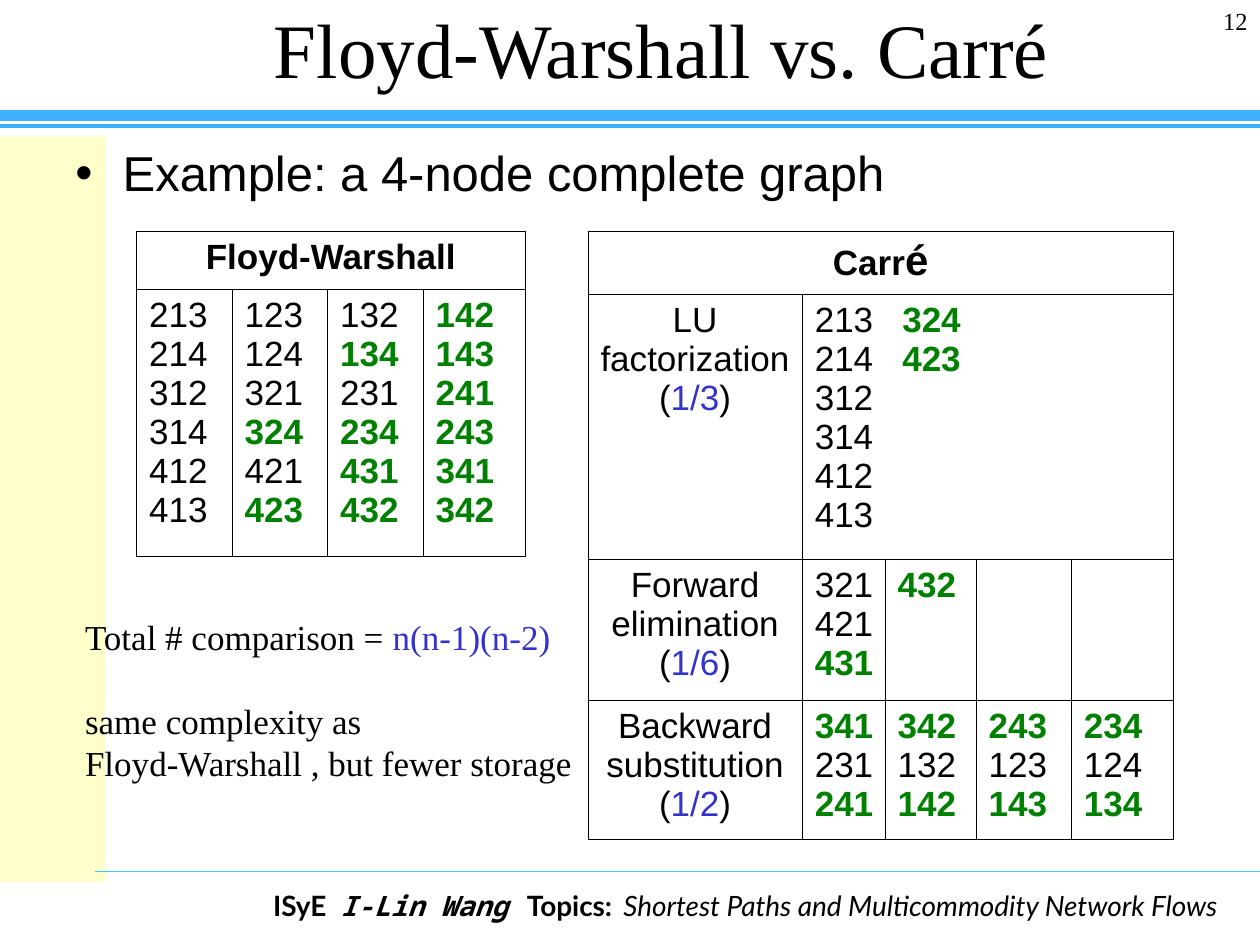
from lxml import etree
from pptx import Presentation
from pptx.dml.color import RGBColor
from pptx.enum.shapes import MSO_CONNECTOR, MSO_SHAPE
from pptx.enum.text import MSO_ANCHOR, MSO_AUTO_SIZE, PP_ALIGN
from pptx.oxml.ns import qn
from pptx.util import Pt

LEFT, CENTER, RIGHT = PP_ALIGN.LEFT, PP_ALIGN.CENTER, PP_ALIGN.RIGHT
MIDDLE = MSO_ANCHOR.MIDDLE
RECTANGLE = MSO_SHAPE.RECTANGLE
STRAIGHT = MSO_CONNECTOR.STRAIGHT
NO_AUTOFIT = MSO_AUTO_SIZE.NONE

COLORS = {
    "text": "000000",
    "new": "008000",
    "formula": "3333CC",
    "rule": "3DB0FF",
    "footer_rule": "33CCFF",
    "side_band": "FFFF99",
}
SERIF, SANS, FOOTER, MONO = "Times New Roman", "Arial", "Lato", "Noto Sans Mono"
NEW = {"color": "new", "bold": True}
FORMULA = {"color": "formula"}


def color(name):
    return RGBColor.from_string(COLORS[name])


def add_run(paragraph, text, font, size, color_name="text", bold=False,
            italic=False, spacing=0):
    run = paragraph.add_run()
    run.text = text
    run.font.name = font
    run.font.size = Pt(size)
    run.font.bold = bold
    run.font.italic = italic
    run.font.color.rgb = color(color_name)
    if spacing:
        run.font._element.set("spc", str(int(spacing * 100)))


def write_text(frame, paragraphs, font=SANS, size=20, align=LEFT, bold=False,
               bullet=None, tab=None, space_before=0, line_spacing=None):
    """Fill a frame; a paragraph is a list of strings or (string, format) pairs."""
    for index, runs in enumerate(paragraphs):
        paragraph = frame.paragraphs[0] if index == 0 else frame.add_paragraph()
        paragraph.alignment = align
        properties = paragraph._p.get_or_add_pPr()
        if bullet:
            properties.set("marL", str(Pt(27)))
            properties.set("indent", str(-Pt(27)))
            etree.SubElement(properties, qn("a:buFont"), typeface=font)
            etree.SubElement(properties, qn("a:buChar"), char=bullet)
        if tab:
            tabs = etree.SubElement(properties, qn("a:tabLst"))
            etree.SubElement(tabs, qn("a:tab"), pos=str(Pt(tab)), algn="l")
        if index and space_before:
            paragraph.space_before = Pt(space_before)
        if line_spacing:
            paragraph.line_spacing = Pt(line_spacing)
        for run in runs:
            text, style = run if isinstance(run, tuple) else (run, {})
            style = {"font": font, "size": size, "bold": bold, **style}
            style["color_name"] = style.pop("color", "text")
            for number, line in enumerate(text.split("\n")):
                if number:
                    paragraph.add_line_break()
                add_run(paragraph, line, **style)


def add_text(slide, box, paragraphs, wrap=True, **text_format):
    frame = slide.shapes.add_textbox(*map(Pt, box)).text_frame
    frame.word_wrap = wrap
    write_text(frame, paragraphs, **text_format)


def add_rule(slide, left, right, y, color_name, width):
    rule = slide.shapes.add_connector(STRAIGHT, Pt(left), Pt(y), Pt(right), Pt(y))
    rule.line.color.rgb = color(color_name)
    rule.line.width = Pt(width)
    etree.SubElement(rule._element.spPr, qn("a:effectLst"))


def add_frame(slide, width, height):
    """Rules, side band and footer around the content."""
    footer = [
        "ISyE", (" ", {"spacing": 4}),
        ("I-Lin Wang", {"font": MONO, "italic": True}),
        (" ", {"spacing": 7}), "Topics:", (" ", {"spacing": 2.5}),
        ("Shortest Paths and Multicommodity Network Flows",
         {"bold": False, "italic": True}),
    ]
    add_text(slide, (132, height - 36, width - 132, 36), [footer],
             font=FOOTER, size=16, align=CENTER, bold=True)
    add_rule(slide, 0, width, 72, "rule", 2)
    add_rule(slide, 0, width, 66, "rule", 6)
    band = slide.shapes.add_shape(RECTANGLE, 0, Pt(78), Pt(60), Pt(426))
    band.shadow.inherit = False
    band.line.fill.background()
    band.fill.solid()
    band.fill.fore_color.rgb = color("side_band")
    fill_color = band._element.spPr.find(f".//{qn('a:srgbClr')}")
    etree.SubElement(fill_color, qn("a:alpha"), val="50000")
    add_rule(slide, 54, width, height - 41.8, "footer_rule", 0.75)


def set_title(slide, box, text):
    title = slide.shapes.title
    title.left, title.top, title.width, title.height = map(Pt, box)
    frame = title.text_frame
    frame.auto_size = NO_AUTOFIT
    frame.vertical_anchor = MIDDLE
    write_text(frame, [[text]], font=SERIF, size=44, align=CENTER)


def format_cell(cell):
    """Clear the fill, draw thin borders and leave room for the widest word."""
    cell.fill.background()
    cell.margin_right = Pt(4)
    properties = cell._tc.get_or_add_tcPr()
    for index, side in enumerate(("lnL", "lnR", "lnT", "lnB")):
        line = etree.Element(qn(f"a:{side}"), w=str(Pt(0.45)))
        fill = etree.SubElement(line, qn("a:solidFill"))
        etree.SubElement(fill, qn("a:srgbClr"), val=COLORS["text"])
        properties.insert(index, line)


def add_grid(slide, left, top, widths, heights):
    """Plain outlined table whose first row is one heading cell."""
    table = slide.shapes.add_table(
        len(heights), len(widths), Pt(left), Pt(top),
        Pt(sum(widths)), Pt(sum(heights))).table
    table.first_row = table.horz_banding = False
    for column, width in zip(table.columns, widths):
        column.width = Pt(width)
    for row, height in zip(table.rows, heights):
        row.height = Pt(height)
    for cell in table.iter_cells():
        format_cell(cell)
    table.cell(0, 0).merge(table.cell(0, len(widths) - 1))
    return table


def write_label(cell, runs, **text_format):
    cell.margin_left = cell.margin_right
    write_text(cell.text_frame, [runs], align=CENTER, **text_format)


def write_triples(cell, lines):
    """One paragraph per word; a star marks a new triple, a plus a tab."""
    paragraphs = []
    for line in lines.split():
        runs = []
        for triple in line.split("+"):
            if runs:
                runs.append("\t")
            runs.append((triple[1:], NEW) if triple.startswith("*") else triple)
        paragraphs.append(runs)
    write_text(cell.text_frame, paragraphs, tab=50 if "+" in lines else None)


def add_floyd_warshall(slide, left, top):
    columns = ["213 214 312 314 412 413", "123 124 321 *324 421 *423",
               "132 *134 231 *234 *431 *432", "*142 *143 *241 *243 *341 *342"]
    table = add_grid(slide, left, top, [54.6, 54.6, 54.6, 58.3], [33.6, 152.4])
    write_label(table.cell(0, 0), ["Floyd-Warshall"], bold=True)
    for index, lines in enumerate(columns):
        write_triples(table.cell(1, index), lines)


def add_carre(slide, left, top):
    steps = [
        ("LU\nfactorization", "1/3", ["213+*324 214+*423 312 314 412 413"]),
        ("Forward\nelimination", "1/6", ["321 421 *431", "*432"]),
        ("Backward\nsubstitution", "1/2",
         ["*341 231 *241", "*342 132 *142", "*243 123 *143", "*234 124 *134"]),
    ]
    table = add_grid(slide, left, top, [122.4, 47.4, 52, 54.4, 58.3],
                     [36, 151.6, 80.6, 79.4])
    write_label(table.cell(0, 0), ["Carr", ("é", {"size": 24})], bold=True)
    table.cell(1, 1).merge(table.cell(1, 4))
    for row, (name, share, columns) in enumerate(steps, start=1):
        write_label(table.cell(row, 0), [f"{name}\n(", (share, FORMULA), ")"])
        for column, lines in enumerate(columns, start=1):
            write_triples(table.cell(row, column), lines)


def main():
    presentation = Presentation()
    presentation.slide_width, presentation.slide_height = Pt(720), Pt(540)
    slide = presentation.slides.add_slide(presentation.slide_layouts[5])
    add_frame(slide, 720, 540)
    set_title(slide, (96, 0, 564, 54), "Floyd-Warshall vs. Carré")
    add_text(slide, (36, 78, 660, 44), [["Example: a 4-node complete graph"]],
             size=28, bullet="•")
    add_floyd_warshall(slide, 78, 132)
    add_carre(slide, 336, 132)
    # Complexity remark
    add_text(slide, (41.5, 348, 294.5, 103.7),
             [["Total # comparison = ", ("n(n-1)(n-2)", FORMULA)],
              ["same complexity as\nFloyd-Warshall , but fewer storage"]],
             wrap=False, font=SERIF, space_before=24, line_spacing=24)
    # Slide number
    add_text(slide, (660, 0, 60, 36), [["12"]], font=SERIF, size=14, align=RIGHT)
    presentation.save("out.pptx")


if __name__ == "__main__":
    main()
